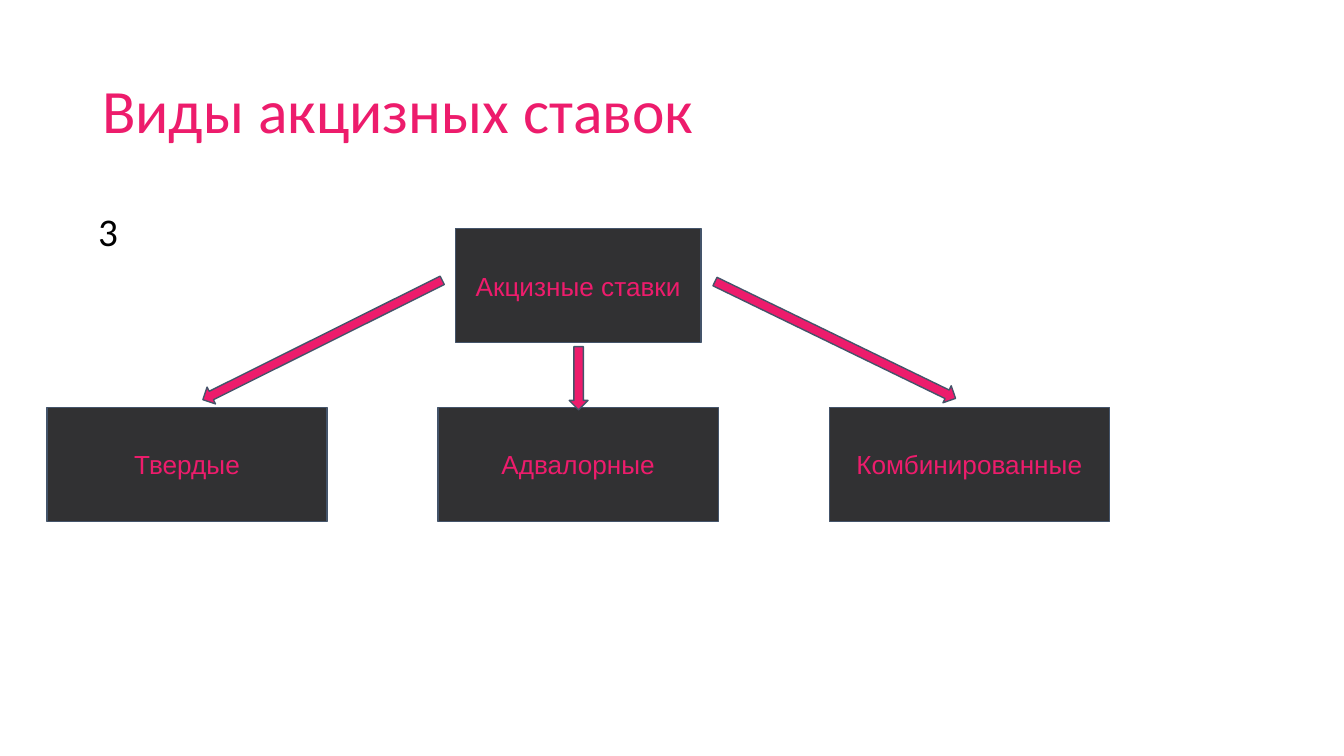
from pptx import Presentation
from pptx.dml.color import RGBColor
from pptx.enum.shapes import MSO_SHAPE
from pptx.enum.text import MSO_ANCHOR, MSO_AUTO_SIZE, PP_ALIGN
from pptx.util import Emu, Pt

PINK = RGBColor(0xED, 0x1C, 0x6C)
DARK = RGBColor(0x31, 0x31, 0x33)
SLATE = RGBColor(0x44, 0x54, 0x6A)
BLACK = RGBColor(0x00, 0x00, 0x00)
PX = 4572  # 200 px to the inch


def write(shape, text, font, size, color, align, anchor, margins, spacing=1.0, before=0):
    frame = shape.text_frame
    frame.text = text
    side, top = margins
    frame_format = {
        "word_wrap": True, "auto_size": MSO_AUTO_SIZE.NONE, "vertical_anchor": anchor,
        "margin_left": side * PX, "margin_right": side * PX,
        "margin_top": top * PX, "margin_bottom": top * PX,
    }
    para = frame.paragraphs[0]
    para_format = {"alignment": align, "line_spacing": spacing, "space_before": Pt(before)}
    span = para.runs[0]
    span_format = {"name": font, "size": Pt(size)}
    for target, values in ((frame, frame_format), (para, para_format), (span.font, span_format)):
        for name, value in values.items():
            setattr(target, name, value)
    span.font.color.rgb = color


def add_outlined(kind, left, top, width, height, fill):
    shape = page.shapes.add_shape(kind, *(Emu(v * PX) for v in (left, top, width, height)))
    shape.shadow.inherit = False
    shape.fill.solid()
    shape.fill.fore_color.rgb = fill
    shape.line.color.rgb = SLATE
    shape.line.width = Pt(0.75)
    return shape


deck = Presentation()
deck.slide_width, deck.slide_height = Emu(2000 * PX), Emu(1125 * PX)
page = deck.slides.add_slide(deck.slide_layouts[5])

# Title and body text
title = page.shapes.title
place = {"left": 138, "top": 60, "width": 1725, "height": 217}
for name, value in place.items():
    setattr(title, name, Emu(value * PX))
write(title, "Виды акцизных ставок", "Calibri", 33, PINK,
      PP_ALIGN.LEFT, MSO_ANCHOR.MIDDLE, (14, 8), 0.9)

body = page.shapes.add_textbox(*(Emu(v * PX) for v in (131, 309, 1725, 714)))
write(body, "3", "Calibri", 21, BLACK, PP_ALIGN.LEFT, MSO_ANCHOR.TOP, (15, 8), 0.9, 8)

# One root box above a row of three evenly spaced rate types
boxes = [("Акцизные ставки", 678, 340, 365)]
for column, label in enumerate(("Твердые", "Адвалорные", "Комбинированные")):
    boxes.append((label, 70 + column * 582, 606, 417))
for label, left, top, width in boxes:
    box = add_outlined(MSO_SHAPE.RECTANGLE, left, top, width, 170, DARK)
    write(box, label, "Arial", 14, PINK, PP_ALIGN.CENTER, MSO_ANCHOR.MIDDLE, (20, 20))

# Arrows from the root box to each type
for left, top, length, angle in ((281, 492, 398, 153.5), (1044, 492, 398, 25.9), (814, 549, 94, 90)):
    arrow = add_outlined(MSO_SHAPE.RIGHT_ARROW, left, top, length, 28, PINK)
    arrow.rotation = angle

deck.save("out.pptx")
